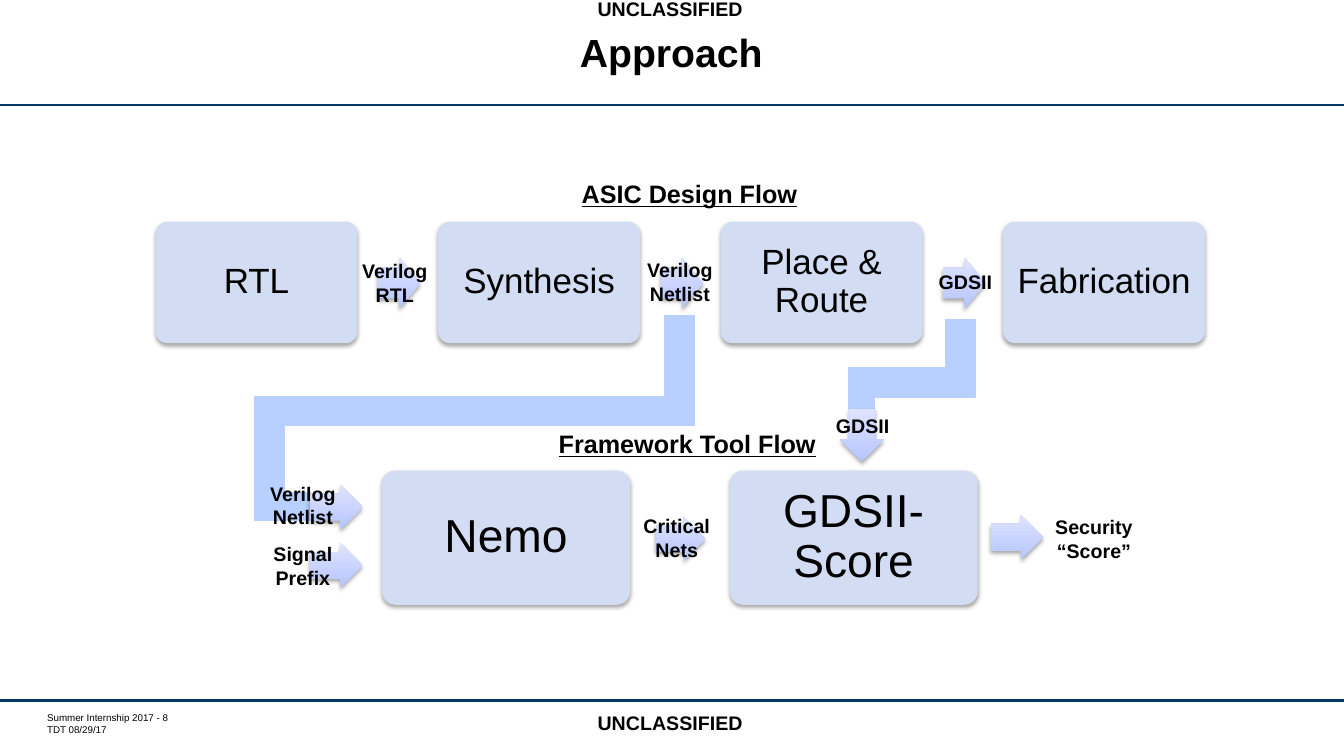
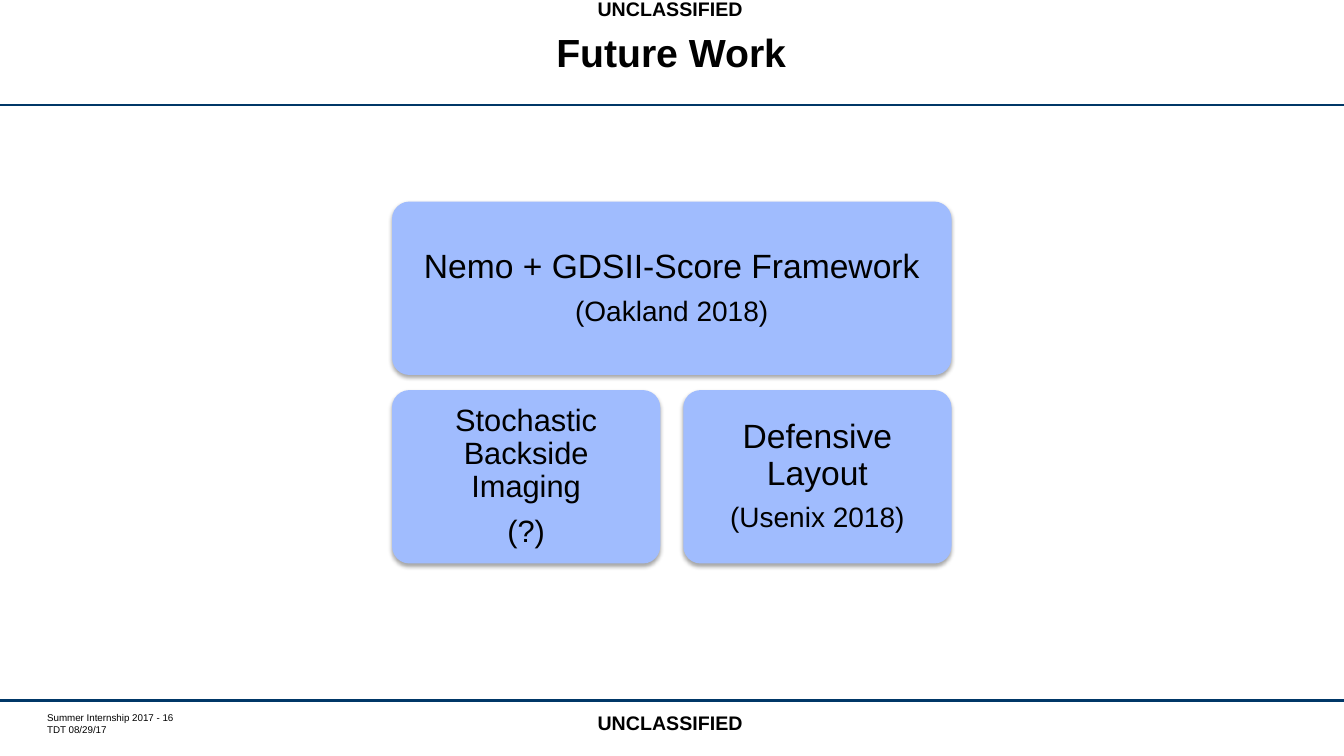
from lxml import etree
from pptx import Presentation
from pptx.dml.color import RGBColor
from pptx.enum.shapes import MSO_CONNECTOR, MSO_SHAPE
from pptx.enum.text import MSO_ANCHOR, PP_ALIGN
from pptx.oxml.ns import qn
from pptx.util import Cm, Pt

BLACK = RGBColor(0x00, 0x00, 0x00)
NAVY = RGBColor(0x00, 0x37, 0x67)
PALE_BLUE = RGBColor(0xD2, 0xDC, 0xF2)
MID_BLUE = RGBColor(0xA0, 0xBC, 0xFE)
PIPE_BLUE = RGBColor(0xB7, 0xD0, 0xFF)
ARROW_DARK = RGBColor(0xB6, 0xC5, 0xFF)
ARROW_LIGHT = RGBColor(0xDE, 0xE4, 0xFF)
FONT = "Arial"


def write(sp, text, size, bold=False, align=PP_ALIGN.CENTER):
    """Fill a shape with paragraphs in one style."""
    tf = sp.text_frame
    tf.text = text
    for p in tf.paragraphs:
        p.alignment = align
        p.font.name = FONT
        p.font.size = Pt(size)
        p.font.bold = bold
        p.font.color.rgb = BLACK
    return tf


def add_raised(s, kind, x, y, w, h):
    """Add a borderless shape with a soft shadow below it."""
    sp = s.shapes.add_shape(kind, Cm(x), Cm(y), Cm(w), Cm(h))
    sp.line.fill.background()
    sp.shadow.inherit = False
    effects = sp.element.spPr.find(qn("a:effectLst"))
    shadow = etree.SubElement(effects, qn("a:outerShdw"), blurRad=str(Pt(3.1)),
                              dist=str(Pt(1.8)), dir="5400000", rotWithShape="0")
    color = etree.SubElement(shadow, qn("a:srgbClr"), val="000000")
    etree.SubElement(color, qn("a:alpha"), val="35000")
    return sp


prs = Presentation()
prs.slide_width, prs.slide_height = Cm(33.87), Cm(19.05)

# Layout: keep only the title placeholder
layout = prs.slide_layouts[5]
for ph in list(layout.placeholders):
    if ph.placeholder_format.idx:
        ph.element.getparent().remove(ph.element)
title = layout.placeholders[0]
title.left, title.top, title.width, title.height = Cm(3.48), Cm(0.28), Cm(26.87), Cm(2.26)

# Title and footer of both slides
slides = []
for heading, number in (("Approach", 8), ("Future Work", 16)):
    s = prs.slides.add_slide(layout)
    slides.append(s)
    tf = write(s.shapes.title, heading, 28, bold=True)
    tf.vertical_anchor = MSO_ANCHOR.MIDDLE
    tf.paragraphs[0].line_spacing = Pt(28)
    sp = s.shapes.add_textbox(Cm(1.19), Cm(17.93), Cm(4.04), Cm(0.61))
    tf = write(sp, f"Summer Internship 2017 - {number}\nTDT 08/29/17", 7, align=PP_ALIGN.LEFT)
    tf.margin_left = tf.margin_right = tf.margin_top = tf.margin_bottom = 0
approach, future = slides

# Rules and classification marks, moved to the layout so that both slides show them
for rule_y, mark_y in ((2.64, -0.2), (17.65, 17.78)):
    rule = approach.shapes.add_connector(MSO_CONNECTOR.STRAIGHT, 0, Cm(rule_y),
                                         prs.slide_width, Cm(rule_y))
    rule.line.color.rgb = NAVY
    rule.line.width = Pt(1.75)
    etree.SubElement(rule.element.spPr, qn("a:effectLst"))
    mark = approach.shapes.add_textbox(Cm(14.81), Cm(mark_y), Cm(4.19), Cm(0.86))
    write(mark, "UNCLASSIFIED", 14, bold=True, align=PP_ALIGN.LEFT).word_wrap = False
    for sp in (rule, mark):
        layout.shapes.element.append(sp.element)

# Boxes: slide, colour, place, inset, then text and size of each paragraph
boxes = []
for i, step in enumerate(("RTL", "Synthesis", "Place & Route", "Fabrication")):
    boxes.append((approach, PALE_BLUE, (3.92 + 7.12 * i, 5.59, 5.09, 3.06), 0.25, [(step, 25)]))
for i, tool in enumerate(("Nemo", "GDSII-Score")):
    boxes.append((approach, PALE_BLUE, (9.63 + 8.76 * i, 11.86, 6.25, 3.38), 0.36, [(tool, 33)]))
boxes += [
    (future, MID_BLUE, (9.88, 5.08, 14.1, 4.37), 0.25,
     [("Nemo + GDSII-Score Framework", 24), ("(Oakland 2018)", 20)]),
    (future, MID_BLUE, (9.88, 9.83, 6.76, 4.37), 0.25,
     [("Stochastic Backside Imaging", 22), ("(?)", 22)]),
    (future, MID_BLUE, (17.22, 9.83, 6.76, 4.37), 0.25,
     [("Defensive Layout", 24), ("(Usenix 2018)", 20)]),
]
for s, color, place, inset, lines in boxes:
    sp = add_raised(s, MSO_SHAPE.ROUNDED_RECTANGLE, *place)
    sp.adjustments[0] = 0.1
    sp.fill.solid()
    sp.fill.fore_color.rgb = color
    tf = write(sp, "\n".join(text for text, size in lines), lines[0][1])
    tf.word_wrap = True
    tf.vertical_anchor = MSO_ANCHOR.MIDDLE
    tf.margin_left = tf.margin_right = tf.margin_top = tf.margin_bottom = Cm(inset)
    for p, (text, size) in zip(tf.paragraphs, lines):
        p.font.size = Pt(size)
        p.line_spacing = 0.9
        p.space_after = Pt(round(size * 0.35))

# Pipes from the design flow down to the tool flow
for x, y, w, h in (
    (16.76, 7.95, 0.74, 2.72),
    (6.43, 9.99, 11.07, 0.74),
    (6.43, 9.99, 0.74, 3.12),
    (6.43, 12.42, 1.39, 0.69),
    (21.39, 9.27, 3.18, 0.74),
    (23.83, 8.05, 0.74, 1.96),
    (21.39, 9.27, 0.64, 1.04),
):
    sp = approach.shapes.add_shape(MSO_SHAPE.RECTANGLE, Cm(x), Cm(y), Cm(w), Cm(h))
    sp.shadow.inherit = False
    sp.fill.solid()
    sp.fill.fore_color.rgb = PIPE_BLUE
    sp.line.color.rgb = PIPE_BLUE
    sp.line.width = Pt(1)

# Block arrows
arrows = [(MSO_SHAPE.RIGHT_ARROW, 9.53 + 7.12 * i, 6.5, 1.07, 1.27) for i in range(3)]
arrows += [
    (MSO_SHAPE.RIGHT_ARROW, 16.54, 13.03, 1.24, 1.09),
    (MSO_SHAPE.RIGHT_ARROW, 7.82, 12.22, 1.32, 1.12),
    (MSO_SHAPE.RIGHT_ARROW, 7.82, 13.69, 1.32, 1.12),
    (MSO_SHAPE.RIGHT_ARROW, 24.97, 12.98, 1.32, 1.12),
    (MSO_SHAPE.DOWN_ARROW, 21.16, 10.31, 1.12, 1.32),
]
for arrow in arrows:
    sp = add_raised(approach, *arrow)
    sp.adjustments[0], sp.adjustments[1] = 0.6, 0.5
    sp.fill.gradient()
    sp.fill.gradient_angle = 90
    for stop, color in zip(sp.fill.gradient_stops, (ARROW_DARK, ARROW_LIGHT)):
        stop.color.rgb = color

# Flow headings and arrow labels
for text, size, x, y, w, h in (
    ("ASIC Design Flow", 18, 14.38, 4.37, 5.99, 1.02),
    ("Framework Tool Flow", 18, 13.79, 10.67, 7.06, 1.02),
    ("Verilog\nRTL", 14, 8.86, 6.4, 2.18, 1.45),
    ("Verilog\nNetlist", 14, 15.98, 6.38, 2.31, 1.45),
    ("GDSII", 14, 23.39, 6.68, 1.88, 0.86),
    ("Verilog\nNetlist", 14, 6.48, 12.01, 2.31, 1.45),
    ("Signal\nPrefix", 14, 6.63, 13.54, 2.01, 1.45),
    ("Critical\nNets", 14, 15.95, 12.83, 2.21, 1.45),
    ("GDSII", 14, 20.8, 10.31, 1.88, 0.86),
    ("Security\n“Score”", 14, 26.26, 12.85, 2.62, 1.45),
):
    sp = approach.shapes.add_textbox(Cm(x), Cm(y), Cm(w), Cm(h))
    tf = write(sp, text, size, bold=True)
    tf.word_wrap = False
    if size == 18:
        tf.paragraphs[0].font.underline = True

prs.save("out.pptx")
